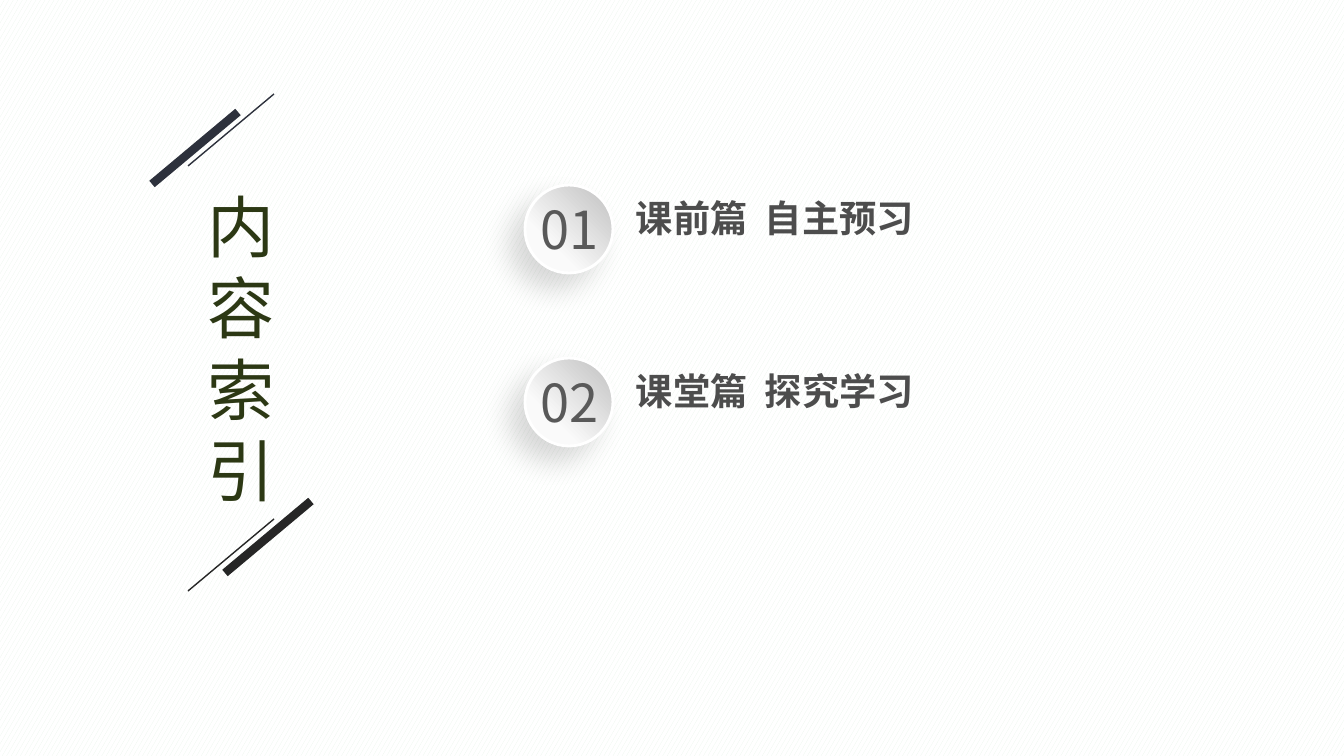
import dataclasses

import pptx
import pptx.dml.color
import pptx.enum.dml
import pptx.enum.shapes
import pptx.enum.text
import pptx.oxml
import pptx.oxml.ns
import pptx.util

EMU_PER_PX = 914400 / 100.8


@dataclasses.dataclass(frozen=True)
class Theme:
    font: str = "Noto Sans CJK JP"
    paper: str = "FFFFFF"
    confetti: str = "E8F4E9"
    heading: str = "2C3814"
    upper_stroke: str = "2D313C"
    lower_stroke: str = "262626"
    number: str = "595959"
    chapter: str = "4D4D4D"
    badge_dark: str = "BFBFBF"
    badge_light: str = "FAFAFA"
    badge_rim: str = "FFFFFF"
    shadow: str = "000000"
    heading_size: float = 48
    heading_leading: float = 58
    number_size: float = 37.4
    chapter_size: float = 26.6


def px(length):
    return pptx.util.Emu(round(length * EMU_PER_PX))


def rgb(value):
    return pptx.dml.color.RGBColor.from_string(value)


def add_xml(parent, markup):
    """Append a DrawingML element whose prefix is a."""
    tag, rest = markup.split(" ", 1)
    element = pptx.oxml.parse_xml(f"{tag} {pptx.oxml.ns.nsdecls('a')} {rest}")
    parent.append(element)


class SlideBuilder:
    def __init__(self, slide, theme):
        self.slide = slide
        self.theme = theme

    def background(self):
        fill = self.slide.background.fill
        fill.patterned()
        fill.pattern = pptx.enum.dml.MSO_PATTERN.LARGE_CONFETTI
        fill.fore_color.rgb = rgb(self.theme.confetti)
        fill.back_color.rgb = rgb(self.theme.paper)

    def stroke(self, start, end, color, weight):
        line = self.slide.shapes.add_connector(
            pptx.enum.shapes.MSO_CONNECTOR.STRAIGHT,
            *map(px, start), *map(px, end))
        line.line.color.rgb = rgb(color)
        line.line.width = pptx.util.Pt(weight)
        add_xml(line._element.spPr, "<a:effectLst />")

    def badge(self, left, top, size):
        """Draw a raised disc, lit from the lower left."""
        disc = self.slide.shapes.add_shape(
            pptx.enum.shapes.MSO_SHAPE.OVAL, px(left), px(top), px(size), px(size))
        disc.fill.gradient()
        disc.fill.gradient_angle = 225
        shades = ((0, self.theme.badge_dark), (0.7, self.theme.badge_light))
        for stop, (position, color) in zip(disc.fill.gradient_stops, shades):
            stop.position = position
            stop.color.rgb = rgb(color)
        disc.line.color.rgb = rgb(self.theme.badge_rim)
        disc.line.width = pptx.util.Pt(2)
        disc.shadow.inherit = False
        effects = disc._element.spPr.find(pptx.oxml.ns.qn("a:effectLst"))
        add_xml(effects,
                f'<a:outerShdw blurRad="{pptx.util.Pt(20)}" dist="{pptx.util.Pt(15)}" '
                'dir="8100000" algn="tr" rotWithShape="0">'
                f'<a:srgbClr val="{self.theme.shadow}"><a:alpha val="15000"/>'
                '</a:srgbClr></a:outerShdw>')

    def text(self, box, wording, size, color, *, bold=None, side=0, top=0,
             wrap=True, centered=False, leading=None, tab=None):
        frame = self.slide.shapes.add_textbox(*map(px, box)).text_frame
        frame.word_wrap = wrap
        frame.margin_left = frame.margin_right = px(side)
        frame.margin_top, frame.margin_bottom = px(top), 0
        paragraph = frame.paragraphs[0]
        if tab:
            add_xml(paragraph._p.get_or_add_pPr(),
                    f'<a:tabLst ><a:tab pos="{px(tab)}" algn="l"/></a:tabLst>')
        if centered:
            frame.vertical_anchor = pptx.enum.text.MSO_ANCHOR.MIDDLE
            paragraph.alignment = pptx.enum.text.PP_ALIGN.CENTER
        if leading:
            paragraph.line_spacing = pptx.util.Pt(leading)
        run = paragraph.add_run()
        run.text = wording
        run.font.size = pptx.util.Pt(size)
        run.font.bold = bold
        run.font.color.rgb = rgb(color)
        run.font.name = self.theme.font
        add_xml(run.font._element, f'<a:ea typeface="{self.theme.font}"/>')


def main():
    deck = pptx.Presentation()
    deck.slide_width, deck.slide_height = px(1344), px(756)
    theme = Theme()
    page = SlideBuilder(deck.slides.add_slide(deck.slide_layouts[6]), theme)
    page.background()

    page.text((198, 175, 104, 336), "内容索引", theme.heading_size, theme.heading,
              side=10, top=10, leading=theme.heading_leading)

    run_x, rise = 86, 72
    for left, bottom, color, weight in (
            (152, 184, theme.upper_stroke, 6),
            (188, 166, theme.upper_stroke, 1),
            (225, 573, theme.lower_stroke, 6),
            (188, 591, theme.lower_stroke, 1)):
        page.stroke((left, bottom), (left + run_x, bottom - rise), color, weight)

    chapters = ("课前篇\t自主预习", "课堂篇\t探究学习")
    for index, chapter in enumerate(chapters):
        top = 185 + 173 * index
        page.badge(525, top, 88)
        page.text((529, top + 7, 82, 74), f"{index + 1:02}", theme.number_size,
                  theme.number, wrap=False, centered=True)
        page.text((626, top + 10, 304, 55), chapter, theme.chapter_size,
                  theme.chapter, bold=True, side=10, tab=129)

    deck.save("out.pptx")


if __name__ == "__main__":
    main()
